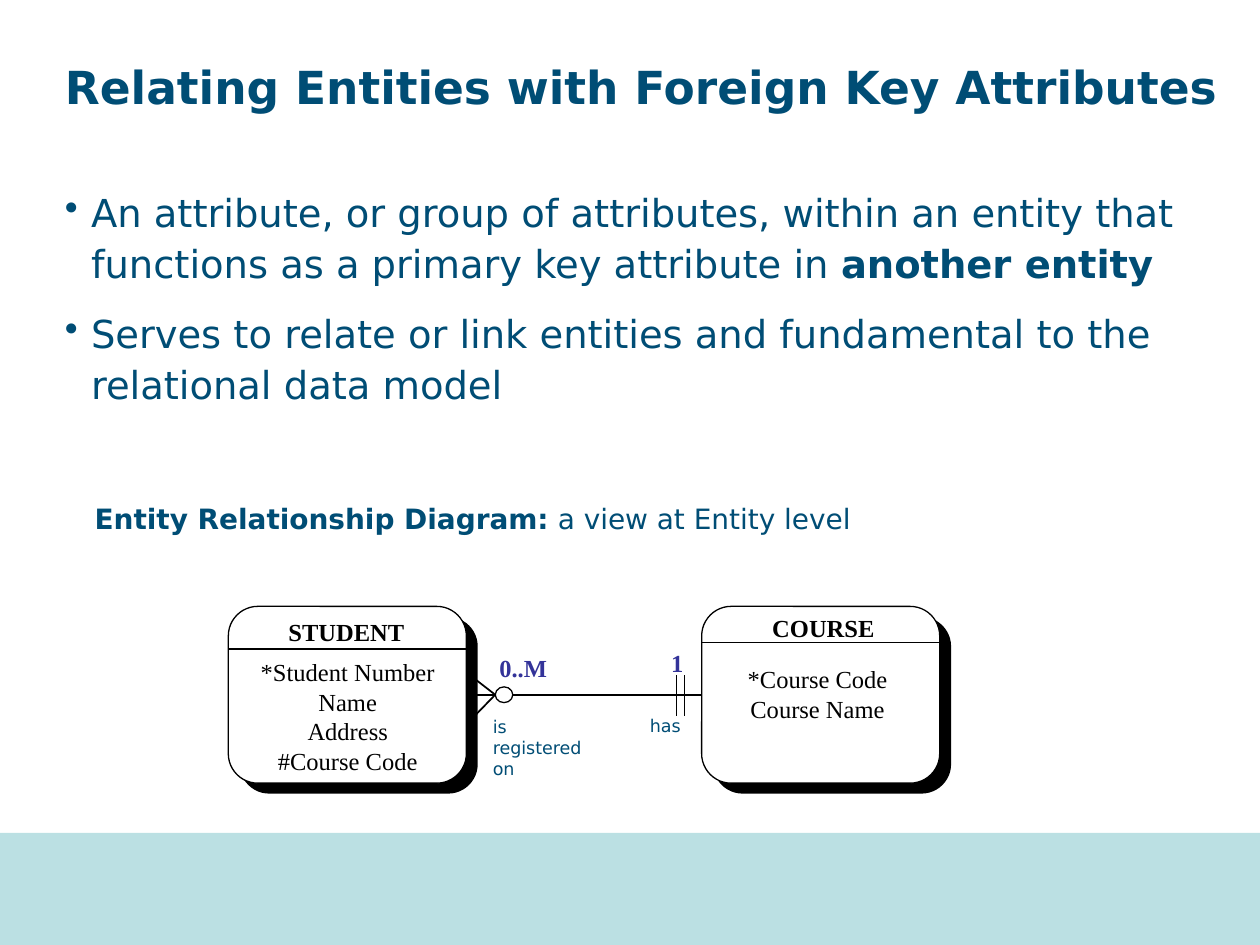
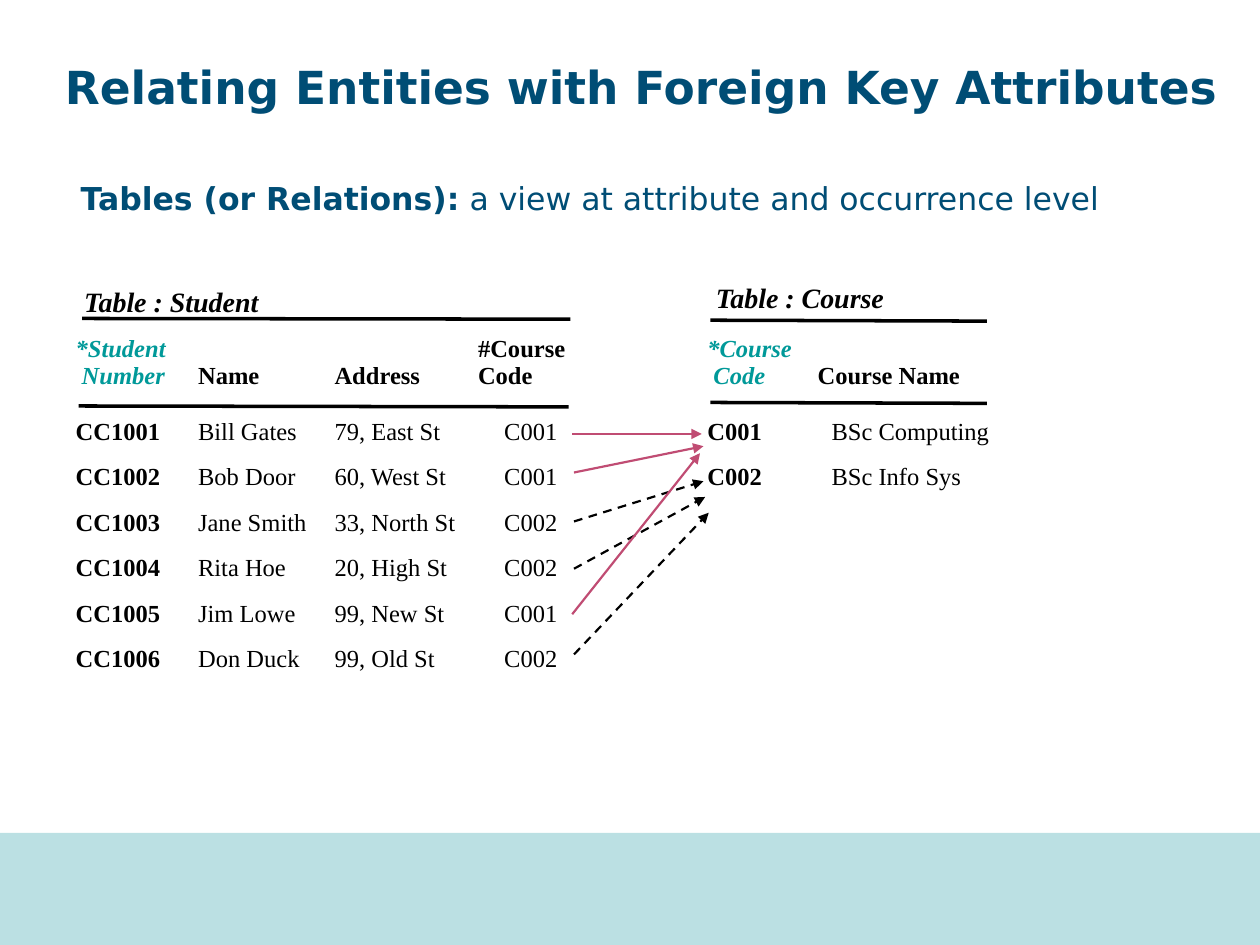
from dataclasses import dataclass
from typing import NamedTuple

from lxml import etree
from pptx import Presentation
from pptx.dml.color import RGBColor
from pptx.enum.dml import MSO_LINE
from pptx.enum.shapes import MSO_CONNECTOR, MSO_SHAPE
from pptx.enum.text import MSO_ANCHOR as Anchor, PP_ALIGN as Align
from pptx.oxml.ns import qn
from pptx.util import Pt

COLORS = {
    "heading": "004D75",
    "band": "BBE0E3",
    "ink": "000000",
    "paper": "FFFFFF",
    "cardinality": "333399",
    "key": "009999",
    "link": "C04C73",
}
TITLE = "Relating Entities with Foreign Key Attributes"

ENTITY_TOP, ENTITY_WIDTH, ENTITY_HEIGHT = 346.5, 136, 101
RELATION_Y = ENTITY_TOP + ENTITY_HEIGHT / 2

TABLE_TOP, HEADER_HEIGHT, ROW_HEIGHT = 184, 50, 26
CELL_MARGIN = 7.2


class Style(NamedTuple):
    font: str
    size: float
    color: str
    bold: bool = False
    italic: bool = False
    align: Align = Align.LEFT


class Span(NamedTuple):
    text: str
    style: Style


class Box(NamedTuple):
    left: float
    top: float
    width: float
    height: float


class Point(NamedTuple):
    x: float
    y: float


HEADING = Style("DejaVu Sans", 26, "heading", bold=True)
BODY = Style("DejaVu Sans", 22, "heading")
SMALL = Style("DejaVu Sans", 10, "heading")
CELL = Style("Times New Roman", 14, "ink")
CELL_BOLD = CELL._replace(bold=True)
CELL_KEY = CELL_BOLD._replace(color="key", italic=True)
CENTERED = CELL._replace(align=Align.CENTER)
CENTERED_BOLD = CENTERED._replace(bold=True)
CARDINALITY = CENTERED_BOLD._replace(color="cardinality")
CAPTION = CELL_KEY._replace(size=16, color="ink")


@dataclass
class Entity:
    name: str
    left: float
    divider_y: float
    name_box: Box
    attributes_box: Box
    attributes: list[str]


@dataclass
class Column:
    header: list[str]
    width: float
    values: list[str]
    header_style: Style = CELL_BOLD
    value_style: Style = CELL
    header_hang: float = 0
    value_indent: float = 0


@dataclass
class Relation:
    caption: str
    caption_box: Box
    left: float
    rules: list[tuple[Point, Point]]
    columns: list[Column]


class KeyLink(NamedTuple):
    course: str
    start: Point
    end: Point


ENTITIES = [
    Entity("STUDENT", 130.5, 370.8, Box(151, 349, 94, 24), Box(131, 372.2, 135.5, 75),
           ["*Student Number", "Name", "Address", "#Course Code"]),
    Entity("COURSE", 401, 367.2, Box(417, 347, 107, 24), Box(399.5, 376, 135.5, 44),
           ["*Course Code", "Course Name"]),
]

RELATIONS = [
    Relation(
        "Table : Student", Box(41, 159, 228, 27), 36,
        [(Point(47, 182), Point(326, 182.4)), (Point(45, 232), Point(325, 232.5))],
        [
            Column(["*Student", "Number"], 70, [f"CC100{number}" for number in range(1, 7)],
                   CELL_KEY, CELL_BOLD, header_hang=3.5),
            Column(["Name"], 78,
                   ["Bill Gates", "Bob Door", "Jane Smith", "Rita Hoe", "Jim Lowe", "Don Duck"]),
            Column(["Address"], 82, ["79, East St", "60, West St", "33, North St",
                                     "20, High St", "99, New St", "99, Old St"]),
            Column(["#Course", "Code"], 62, ["C001", "C001", "C002", "C002", "C001", "C002"],
                   value_indent=15),
        ],
    ),
    Relation(
        "Table : Course", Box(402, 157, 228, 27), 397,
        [(Point(406, 183), Point(564, 183.5)), (Point(406, 230), Point(564, 230.5))],
        [
            Column(["*Course", "Code"], 63, ["C001", "C002"], CELL_KEY, CELL_BOLD,
                   header_hang=3.5),
            Column(["Course Name"], 112, ["BSc Computing", "BSc Info Sys"], value_indent=8),
        ],
    ),
]

KEY_LINKS = [
    KeyLink("C001", Point(327, 248), Point(401, 248)),
    KeyLink("C001", Point(328, 270), Point(402, 255)),
    KeyLink("C002", Point(328, 298), Point(402, 275)),
    KeyLink("C002", Point(328, 325), Point(403, 284)),
    KeyLink("C001", Point(327, 351), Point(400, 259)),
    KeyLink("C002", Point(328, 374), Point(405, 293)),
]


def rgb(name: str) -> RGBColor:
    return RGBColor.from_string(COLORS[name])


def set_indent(paragraph, left: float, first: float = 0) -> None:
    properties = paragraph._p.get_or_add_pPr()
    properties.set("marL", str(Pt(left)))
    properties.set("indent", str(Pt(first)))


def write(frame, lines: list[list[Span]]) -> list:
    """Write one paragraph per line and return the paragraphs."""
    paragraphs = []
    for index, spans in enumerate(lines):
        paragraph = frame.add_paragraph() if index else frame.paragraphs[0]
        paragraph.alignment = spans[0].style.align
        for text, style in spans:
            run = paragraph.add_run()
            run.text = text
            run.font.name = style.font
            run.font.size = Pt(style.size)
            run.font.bold = style.bold
            run.font.italic = style.italic
            run.font.color.rgb = rgb(style.color)
        paragraphs.append(paragraph)
    return paragraphs


def add_text(slide, box: Box, *lines: list[Span]) -> list:
    frame = slide.shapes.add_textbox(*map(Pt, box)).text_frame
    frame.word_wrap = True
    return write(frame, list(lines))


def add_filled(slide, kind: MSO_SHAPE, box: Box, fill: str, outlined: bool = False):
    shape = slide.shapes.add_shape(kind, *map(Pt, box))
    shape.shadow.inherit = False
    shape.fill.solid()
    shape.fill.fore_color.rgb = rgb(fill)
    if outlined:
        shape.line.color.rgb = rgb("ink")
        shape.line.width = Pt(0.75)
    else:
        shape.line.fill.background()
    return shape


def add_line(slide, start: Point, end: Point, width: float, color: str = "ink"):
    connector = slide.shapes.add_connector(MSO_CONNECTOR.STRAIGHT, *map(Pt, start + end))
    connector.line.color.rgb = rgb(color)
    connector.line.width = Pt(width)
    etree.SubElement(connector._element.spPr, qn("a:effectLst"))
    return connector


def add_framed_slide(presentation):
    """Add a blank slide with the shared title and bottom band."""
    slide = presentation.slides.add_slide(presentation.slide_layouts[6])
    add_text(slide, Box(30, 30, 681, 53), [Span(TITLE, HEADING)])
    add_filled(slide, MSO_SHAPE.RECTANGLE, Box(0, 476, 720, 64), "band")
    return slide


def add_bullets(slide, box: Box, lines: list[list[Span]]) -> None:
    for index, paragraph in enumerate(add_text(slide, box, *lines)):
        set_indent(paragraph, 15, -15)
        paragraph.line_spacing = 1.1
        if index:
            paragraph.space_before = Pt(11)
        bullet = etree.SubElement(paragraph._p.get_or_add_pPr(), qn("a:buChar"))
        bullet.set("char", "•")


def add_subtitle(slide, box: Box, size: float, term: str, rest: str) -> None:
    style = BODY._replace(size=size)
    add_text(slide, box, [Span(term, style._replace(bold=True)), Span(rest, style)])


def add_entity(slide, entity: Entity):
    kind = MSO_SHAPE.FLOWCHART_ALTERNATE_PROCESS
    box = Box(entity.left, ENTITY_TOP, ENTITY_WIDTH, ENTITY_HEIGHT)
    add_filled(slide, kind, box._replace(left=box.left + 6.5, top=box.top + 6), "ink")
    card = add_filled(slide, kind, box, "paper", outlined=True)
    add_text(slide, entity.attributes_box,
             *[[Span(attribute, CENTERED)] for attribute in entity.attributes])
    add_text(slide, entity.name_box, [Span(entity.name, CENTERED_BOLD)])
    add_line(slide, Point(box.left, entity.divider_y),
             Point(box.left + box.width, entity.divider_y), 0.75)
    return card


def add_relationship(slide, many_side, one_side) -> None:
    many_x = ENTITIES[0].left + ENTITY_WIDTH
    line = add_line(slide, Point(ENTITIES[1].left, RELATION_Y), Point(many_x, RELATION_Y), 1)
    line.begin_connect(one_side, 1)
    line.end_connect(many_side, 3)
    for offset in (-12, 16):
        add_line(slide, Point(many_x + 1, RELATION_Y + offset), Point(283, RELATION_Y), 1)
    for x in (386.5, 391):
        add_line(slide, Point(x, RELATION_Y - 11), Point(x, RELATION_Y + 12), 0.75)
    add_filled(slide, MSO_SHAPE.OVAL, Box(283, RELATION_Y - 4.5, 10, 9), "paper", outlined=True)
    add_text(slide, Box(375, 366.5, 24, 24), [Span("1", CARDINALITY)])
    add_text(slide, Box(277, 369.5, 44, 24), [Span("0..M", CARDINALITY)])
    add_text(slide, Box(274.5, 405.5, 71, 44), [Span("is registered on", SMALL)])
    add_text(slide, Box(345.5, 405, 50.5, 19), [Span("has", SMALL._replace(align=Align.RIGHT))])


def fill_cell(cell, lines: list[str], style: Style, anchor: Anchor,
              indent: float = 0, bottom: float = 0) -> list:
    cell.fill.background()
    cell.vertical_anchor = anchor
    cell.margin_left = Pt(CELL_MARGIN + indent)
    cell.margin_right = cell.margin_top = Pt(0)
    cell.margin_bottom = Pt(bottom)
    return write(cell.text_frame, [[Span(line, style)] for line in lines])


def add_relation(slide, relation: Relation) -> None:
    add_text(slide, relation.caption_box, [Span(relation.caption, CAPTION)])
    row_count = len(relation.columns[0].values)
    width = sum(column.width for column in relation.columns)
    height = HEADER_HEIGHT + row_count * ROW_HEIGHT
    table = slide.shapes.add_table(row_count + 1, len(relation.columns), Pt(relation.left),
                                   Pt(TABLE_TOP), Pt(width), Pt(height)).table
    table.first_row = table.horz_banding = False
    for index, row in enumerate(table.rows):
        row.height = Pt(ROW_HEIGHT if index else HEADER_HEIGHT)
    for index, column in enumerate(relation.columns):
        table.columns[index].width = Pt(column.width)
        header = fill_cell(table.cell(0, index), column.header, column.header_style,
                           Anchor.BOTTOM, bottom=11)
        for paragraph in header[1:]:
            set_indent(paragraph, column.header_hang)
        for row_index, value in enumerate(column.values, start=1):
            fill_cell(table.cell(row_index, index), [value], column.value_style,
                      Anchor.MIDDLE, indent=column.value_indent)
    for start, end in relation.rules:
        add_line(slide, start, end, 2)


def add_key_link(slide, link: KeyLink) -> None:
    first_course = link.course == "C001"
    arrow = add_line(slide, link.start, link.end, 1.25, "link" if first_course else "ink")
    if not first_course:
        arrow.line.dash_style = MSO_LINE.DASH
    etree.SubElement(arrow.line._get_or_add_ln(), qn("a:tailEnd")).set("type", "triangle")


def build_entity_slide(presentation) -> None:
    slide = add_framed_slide(presentation)
    add_bullets(slide, Box(30, 102, 654, 165), [
        [Span("An attribute, or group of attributes, within an entity that functions as "
              "a primary key attribute in ", BODY),
         Span("another entity", BODY._replace(bold=True))],
        [Span("Serves to relate or link entities and fundamental to the relational data model",
              BODY)],
    ])
    add_subtitle(slide, Box(47, 283, 572, 27), 16,
                 "Entity Relationship Diagram:", " a view at Entity level")
    student, course = [add_entity(slide, entity) for entity in ENTITIES]
    add_relationship(slide, student, course)


def build_table_slide(presentation) -> None:
    slide = add_framed_slide(presentation)
    add_subtitle(slide, Box(39, 98.5, 628, 29), 18,
                 "Tables (or Relations):", " a view at attribute and occurrence level")
    for relation in RELATIONS:
        add_relation(slide, relation)
    for link in KEY_LINKS:
        add_key_link(slide, link)


def main() -> None:
    presentation = Presentation()
    presentation.slide_width, presentation.slide_height = Pt(720), Pt(540)
    build_entity_slide(presentation)
    build_table_slide(presentation)
    presentation.save("out.pptx")


if __name__ == "__main__":
    main()
